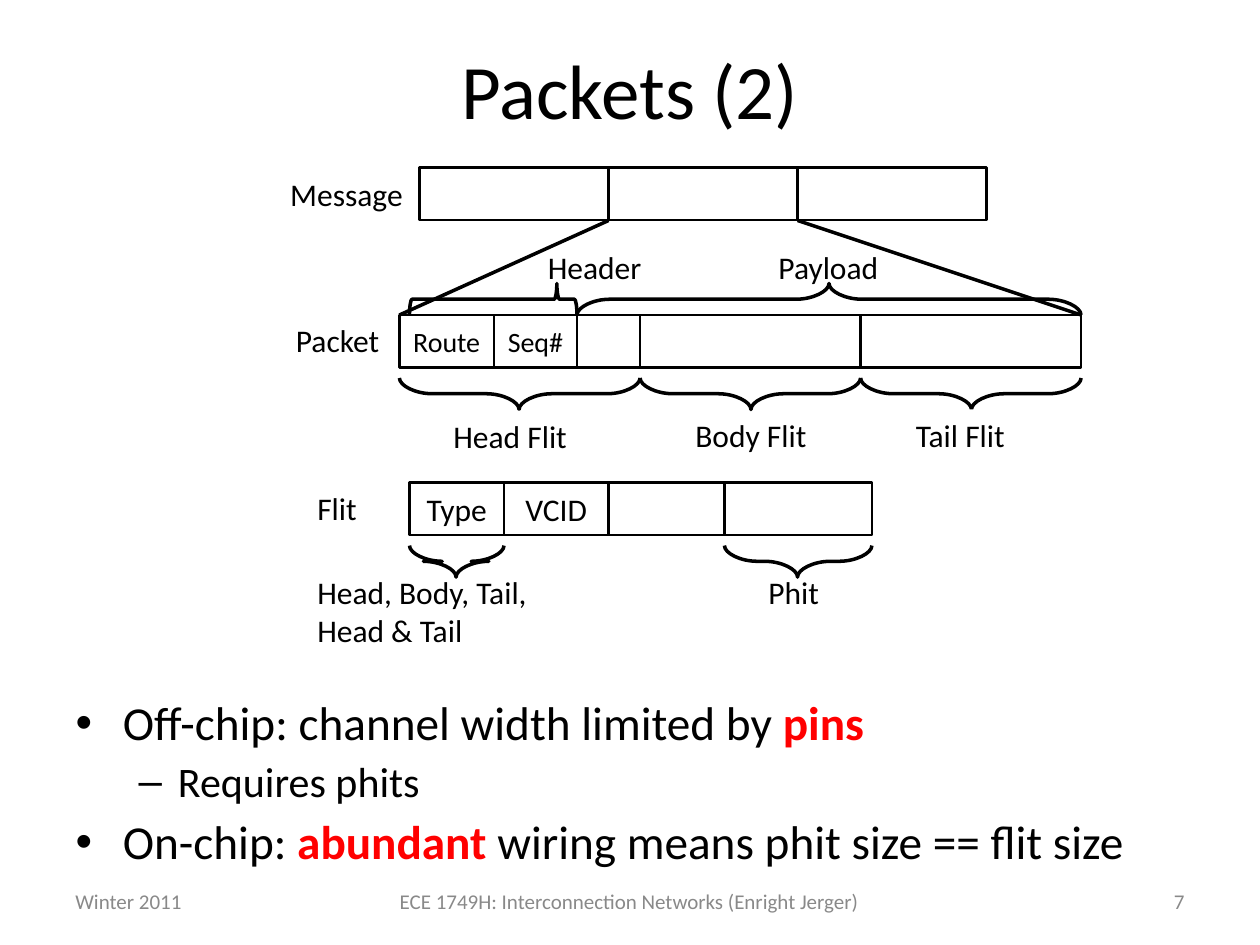
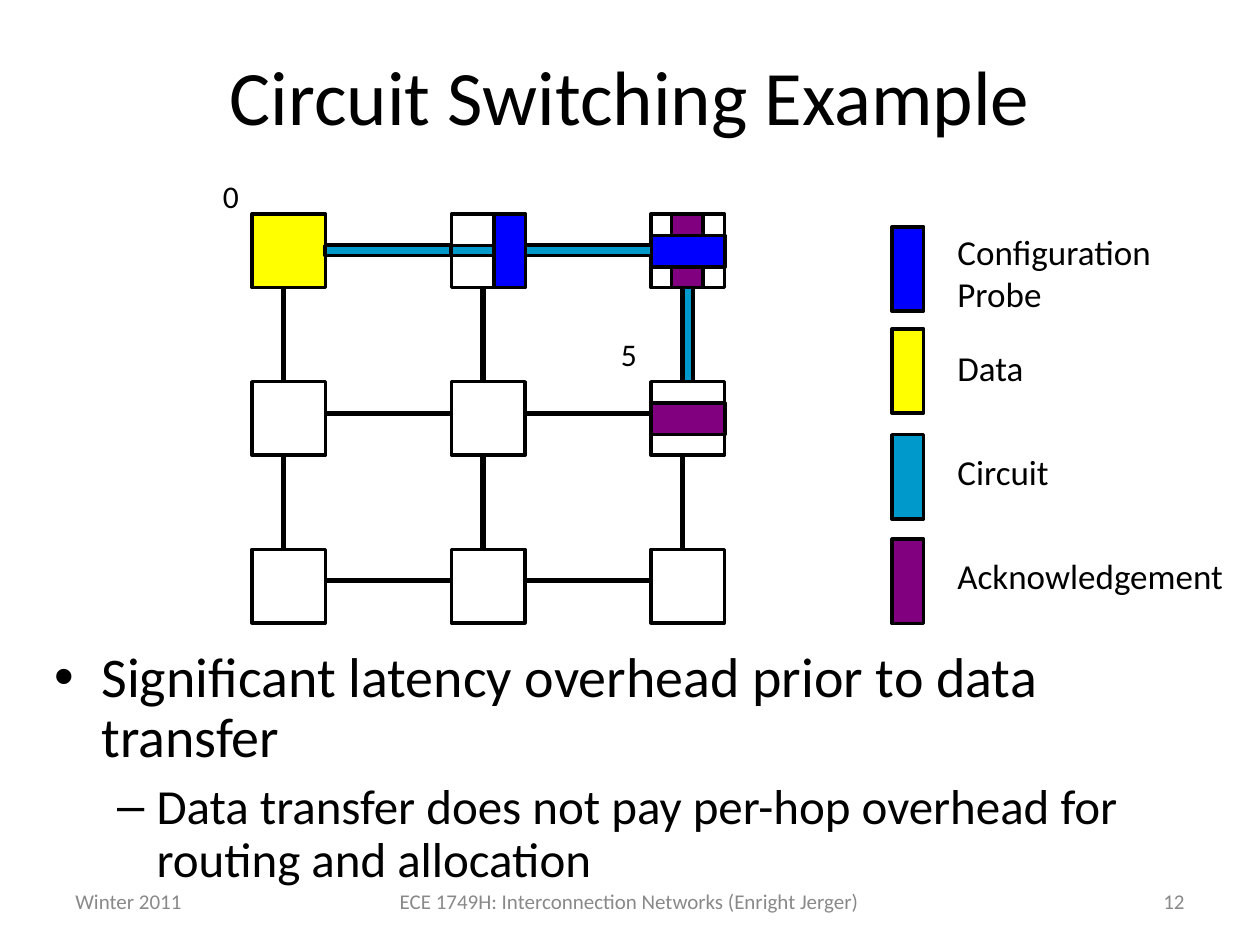
from dataclasses import dataclass
from itertools import pairwise, product
from typing import Optional

from lxml.etree import SubElement
from pptx import Presentation
from pptx.dml.color import RGBColor
from pptx.enum.shapes import MSO_CONNECTOR, MSO_SHAPE
from pptx.enum.text import MSO_ANCHOR, MSO_AUTO_SIZE, PP_ALIGN
from pptx.oxml.ns import qn
from pptx.util import Inches, Pt

FONT = "Calibri"
BLACK = RGBColor(0, 0, 0)
WHITE = RGBColor(255, 255, 255)
GRAY = RGBColor(0x89, 0x89, 0x89)
RED = RGBColor(255, 0, 0)
PROBE_BLUE = RGBColor(0, 0, 255)
DATA_YELLOW = RGBColor(255, 255, 0)
CIRCUIT_CYAN = RGBColor(0, 0x99, 0xCC)
ACKNOWLEDGE_PURPLE = RGBColor(0x80, 0, 0x80)

CELL_HEIGHT = 5 / 12
BRACE_DEPTH = 0.25
NODE_SIZE = 7 / 12
NODE_COLUMNS = [2 + 19 / 12 * column for column in range(3)]
NODE_ROWS = [1.7 + 1.33 * row for row in range(3)]
LINK_OFFSET = 0.25
BAR_WIDTH = 0.25
CIRCUIT_WIDTH = 0.08


@dataclass
class Box:
    left: float
    top: float
    width: float
    height: float

    def lengths(self) -> list:
        return [Inches(value) for value in (self.left, self.top, self.width, self.height)]


@dataclass
class Label:
    text: str
    box: Box
    fill: Optional[RGBColor] = None


@dataclass
class CellRow:
    top: float
    edges: list[float]
    labels: list[str]
    size: float = 18


@dataclass
class Brace:
    start: float
    peak: float
    end: float
    base: float
    direction: int = 1
    reach: float = 0.26


@dataclass
class LegendEntry:
    text: str
    color: RGBColor
    swatch_top: float
    label: Box


@dataclass
class Bullet:
    runs: list[tuple[str, bool]]
    size: float
    level: int = 0
    space_before: float = 0


def write(paragraph, text: str, *, size: float, color: RGBColor = BLACK,
          bold: bool = False, align=PP_ALIGN.LEFT) -> None:
    paragraph.alignment = align
    run = paragraph.add_run()
    run.text = text
    run.font.name = FONT
    run.font.size = Pt(size)
    run.font.color.rgb = color
    run.font.bold = bold


def add_label(slide, text: str, box: Box, *, size: float = 18, color: RGBColor = BLACK,
              align=PP_ALIGN.LEFT, anchor=MSO_ANCHOR.TOP,
              fill: Optional[RGBColor] = None) -> None:
    shape = slide.shapes.add_textbox(*box.lengths())
    if fill is not None:
        shape.fill.solid()
        shape.fill.fore_color.rgb = fill
    shape.text_frame.word_wrap = True
    shape.text_frame.vertical_anchor = anchor
    write(shape.text_frame.paragraphs[0], text, size=size, color=color, align=align)


def add_box(slide, box: Box, *, fill: Optional[RGBColor] = None, line_width: float = 2,
            text: str = "", size: float = 18) -> None:
    shape = slide.shapes.add_shape(MSO_SHAPE.RECTANGLE, *box.lengths())
    shape.shadow.inherit = False
    if fill is None:
        shape.fill.background()
    else:
        shape.fill.solid()
        shape.fill.fore_color.rgb = fill
    shape.line.color.rgb = BLACK
    shape.line.width = Pt(line_width)
    if text:
        shape.text_frame.word_wrap = True
        shape.text_frame.vertical_anchor = MSO_ANCHOR.MIDDLE
        write(shape.text_frame.paragraphs[0], text, size=size, align=PP_ALIGN.CENTER)


def add_line(slide, start: tuple[float, float], end: tuple[float, float], width: float) -> None:
    connector = slide.shapes.add_connector(
        MSO_CONNECTOR.STRAIGHT, *(Inches(value) for value in (*start, *end)))
    connector.line.color.rgb = BLACK
    connector.line.width = Pt(width)
    SubElement(connector._element.spPr, qn("a:effectLst"))


def round_corners(shape) -> None:
    outline = next(shape._element.iter(qn("a:path")))
    points = [(int(point.get("x")), int(point.get("y"))) for point in outline.iter(qn("a:pt"))]
    segments = outline.findall(qn("a:lnTo"))
    for index, leaves_vertically in ((0, True), (2, False), (3, True), (5, False)):
        (x1, y1), (x2, y2) = points[index], points[index + 1]
        middle_x, middle_y = (x1 + x2) // 2, (y1 + y2) // 2
        if leaves_vertically:
            controls = [(x1, middle_y), (middle_x, y2)]
        else:
            controls = [(middle_x, y1), (x2, middle_y)]
        segment = segments[index]
        curve = segment.makeelement(qn("a:cubicBezTo"))
        for x, y in [*controls, (x2, y2)]:
            SubElement(curve, qn("a:pt"), x=str(x), y=str(y))
        outline.replace(segment, curve)


def add_brace(slide, brace: Brace) -> None:
    shoulder = brace.base + brace.direction * BRACE_DEPTH / 2
    tip = brace.base + brace.direction * BRACE_DEPTH
    points = [(Inches(x), Inches(y)) for x, y in (
        (brace.start, brace.base),
        (brace.start + brace.reach, shoulder),
        (brace.peak - brace.reach, shoulder),
        (brace.peak, tip),
        (brace.peak + brace.reach, shoulder),
        (brace.end - brace.reach, shoulder),
        (brace.end, brace.base),
    )]
    builder = slide.shapes.build_freeform(*points[0])
    builder.add_line_segments(points[1:], close=False)
    shape = builder.convert_to_shape()
    round_corners(shape)
    shape.shadow.inherit = False
    shape.fill.background()
    shape.line.color.rgb = BLACK
    shape.line.width = Pt(2)


def add_cell_row(slide, row: CellRow) -> None:
    for (left, right), text in zip(pairwise(row.edges), row.labels):
        add_box(slide, Box(left, row.top, right - left, CELL_HEIGHT),
                line_width=1.5, text=text, size=row.size)


def place(placeholder, box: Box) -> None:
    placeholder.left, placeholder.top, placeholder.width, placeholder.height = box.lengths()
    placeholder.text_frame.auto_size = MSO_AUTO_SIZE.NONE


def start_slide(presentation, title: str, title_top: float, body_box: Box,
                bullets: list[Bullet]):
    slide = presentation.slides.add_slide(presentation.slide_layouts[1])
    heading, body = slide.shapes.title, slide.placeholders[1]
    place(heading, Box(0.5, title_top, 9, 1.25))
    heading.text_frame.vertical_anchor = MSO_ANCHOR.MIDDLE
    write(heading.text_frame.paragraphs[0], title, size=44, align=PP_ALIGN.CENTER)
    place(body, body_box)
    for index, bullet in enumerate(bullets):
        frame = body.text_frame
        paragraph = frame.add_paragraph() if index else frame.paragraphs[0]
        paragraph.level = bullet.level
        paragraph.line_spacing = 0.9
        paragraph.space_before = Pt(bullet.space_before)
        for text, emphasized in bullet.runs:
            write(paragraph, text, size=bullet.size, bold=emphasized,
                  color=RED if emphasized else BLACK)
    return slide


def add_footer(slide, number: int) -> None:
    for text, left, width, align in (
        ("Winter 2011", 0.5, 2.33, PP_ALIGN.LEFT),
        (str(number), 7.17, 2.33, PP_ALIGN.RIGHT),
        ("ECE 1749H: Interconnection Networks (Enright Jerger)", 2.83, 4.33, PP_ALIGN.CENTER),
    ):
        add_label(slide, text, Box(left, 6.95, width, 0.4), size=12, color=GRAY,
                  align=align, anchor=MSO_ANCHOR.MIDDLE)


def build_packets(presentation) -> None:
    slide = start_slide(presentation, "Packets (2)", 0.08, Box(0.5, 5.5, 9, 1.53), [
        Bullet([("Off-chip: channel width limited by ", False), ("pins", True)], 27),
        Bullet([("Requires phits", False)], 24, level=1, space_before=6),
        Bullet([("On-chip: ", False), ("abundant ", True),
                ("wiring means phit size == flit size", False)], 27, space_before=6.8),
    ])
    for row in (
        CellRow(1.33, [3.33, 4.83, 6.33, 7.83], [""] * 3),
        CellRow(2.5, [3.17, 3.92, 4.58, 5.08, 6.83, 8.58], ["Route", "Seq#", "", "", ""], 16),
        CellRow(3.83, [3.25, 4, 4.83, 5.75, 6.92], ["Type", "VCID", "", ""]),
    ):
        add_cell_row(slide, row)
    for brace in (
        Brace(3.17, 4.12, 5.08, 3),
        Brace(5.08, 5.96, 6.83, 3),
        Brace(6.83, 7.71, 8.58, 3),
        Brace(3.25, 3.62, 4, 4.33),
        Brace(5.75, 6.33, 6.92, 4.33),
        Brace(3.25, 4.42, 4.58, 2.5, direction=-1, reach=0.02),
        Brace(4.58, 6.58, 8.58, 2.5, direction=-1),
    ):
        add_brace(slide, brace)
    add_line(slide, (4.83, 1.75), (3.17, 2.5), 2)
    add_line(slide, (6.33, 1.75), (8.58, 2.5), 2)
    for label in (
        Label("Packet", Box(2.25, 2.5, 1.33, 0.4)),
        Label("Flit", Box(2.42, 3.83, 1.33, 0.4)),
        Label("Head, Body, Tail, Head & Tail", Box(2.42, 4.5, 2.17, 0.7)),
        Label("Phit", Box(6, 4.5, 1.33, 0.4)),
        Label("Header", Box(4.25, 1.92, 1.17, 0.4)),
        Label("Payload", Box(6.08, 1.92, 1.08, 0.4)),
        Label("Head Flit", Box(3.5, 3.26, 1.25, 0.4), WHITE),
        Label("Body Flit", Box(5.42, 3.25, 1.08, 0.4)),
        Label("Tail Flit", Box(7.17, 3.25, 1, 0.4), WHITE),
    ):
        add_label(slide, label.text, label.box, fill=label.fill)
    add_label(slide, "Message", Box(2, 1.33, 1.5, CELL_HEIGHT),
              align=PP_ALIGN.CENTER, anchor=MSO_ANCHOR.MIDDLE)
    add_footer(slide, 7)


def add_mesh(slide) -> None:
    for top, left in product(NODE_ROWS, NODE_COLUMNS):
        is_source = (top, left) == (NODE_ROWS[0], NODE_COLUMNS[0])
        add_box(slide, Box(left, top, NODE_SIZE, NODE_SIZE),
                fill=DATA_YELLOW if is_source else None)
    for top, (left, right) in product(NODE_ROWS, pairwise(NODE_COLUMNS)):
        y = top + LINK_OFFSET
        add_line(slide, (left + NODE_SIZE, y), (right, y), 3)
    for left, (top, bottom) in product(NODE_COLUMNS, pairwise(NODE_ROWS)):
        x = left + LINK_OFFSET
        add_line(slide, (x, top + NODE_SIZE), (x, bottom), 3)


def build_circuit_switching(presentation) -> None:
    slide = start_slide(
        presentation, "Circuit Switching Example", 0.13, Box(0.33, 5.1, 9.42, 2.12), [
            Bullet([("Significant latency overhead prior to data transfer", False)], 32),
            Bullet([("Data transfer does not pay per-hop overhead for routing and allocation",
                     False)], 28, level=1, space_before=7),
        ])
    add_mesh(slide)
    for color, box in (
        (CIRCUIT_CYAN, Box(2.58, 1.95, 1, CIRCUIT_WIDTH)),
        (CIRCUIT_CYAN, Box(3.58, 1.95, 1.92, CIRCUIT_WIDTH)),
        (CIRCUIT_CYAN, Box(5.42, 1.95, CIRCUIT_WIDTH, 1.08)),
        (ACKNOWLEDGE_PURPLE, Box(5.17, 3.2, NODE_SIZE, BAR_WIDTH)),
        (ACKNOWLEDGE_PURPLE, Box(5.33, 1.7, BAR_WIDTH, NODE_SIZE)),
        (PROBE_BLUE, Box(3.92, 1.7, BAR_WIDTH, NODE_SIZE)),
        (PROBE_BLUE, Box(5.17, 1.87, NODE_SIZE, BAR_WIDTH)),
    ):
        add_box(slide, box, fill=color)
    for entry in (
        LegendEntry("Configuration Probe", PROBE_BLUE, 1.8, Box(7.5, 1.78, 2.25, 0.77)),
        LegendEntry("Data", DATA_YELLOW, 2.61, Box(7.5, 2.7, 2.5, 0.44)),
        LegendEntry("Circuit", CIRCUIT_CYAN, 3.45, Box(7.5, 3.53, 1.83, 0.44)),
        LegendEntry("Acknowledgement", ACKNOWLEDGE_PURPLE, 4.28, Box(7.5, 4.35, 2.5, 0.44)),
    ):
        add_box(slide, Box(7.08, entry.swatch_top, BAR_WIDTH, 0.67), fill=entry.color)
        add_label(slide, entry.text, entry.label, size=20)
    add_label(slide, "0", Box(1.67, 1.36, 0.75, 0.4))
    add_label(slide, "5", Box(4.83, 2.61, 0.75, 0.4))
    add_footer(slide, 12)


def main() -> None:
    presentation = Presentation()
    presentation.slide_width = Inches(10)
    presentation.slide_height = Inches(7.5)
    build_packets(presentation)
    build_circuit_switching(presentation)
    presentation.save("out.pptx")


if __name__ == "__main__":
    main()
